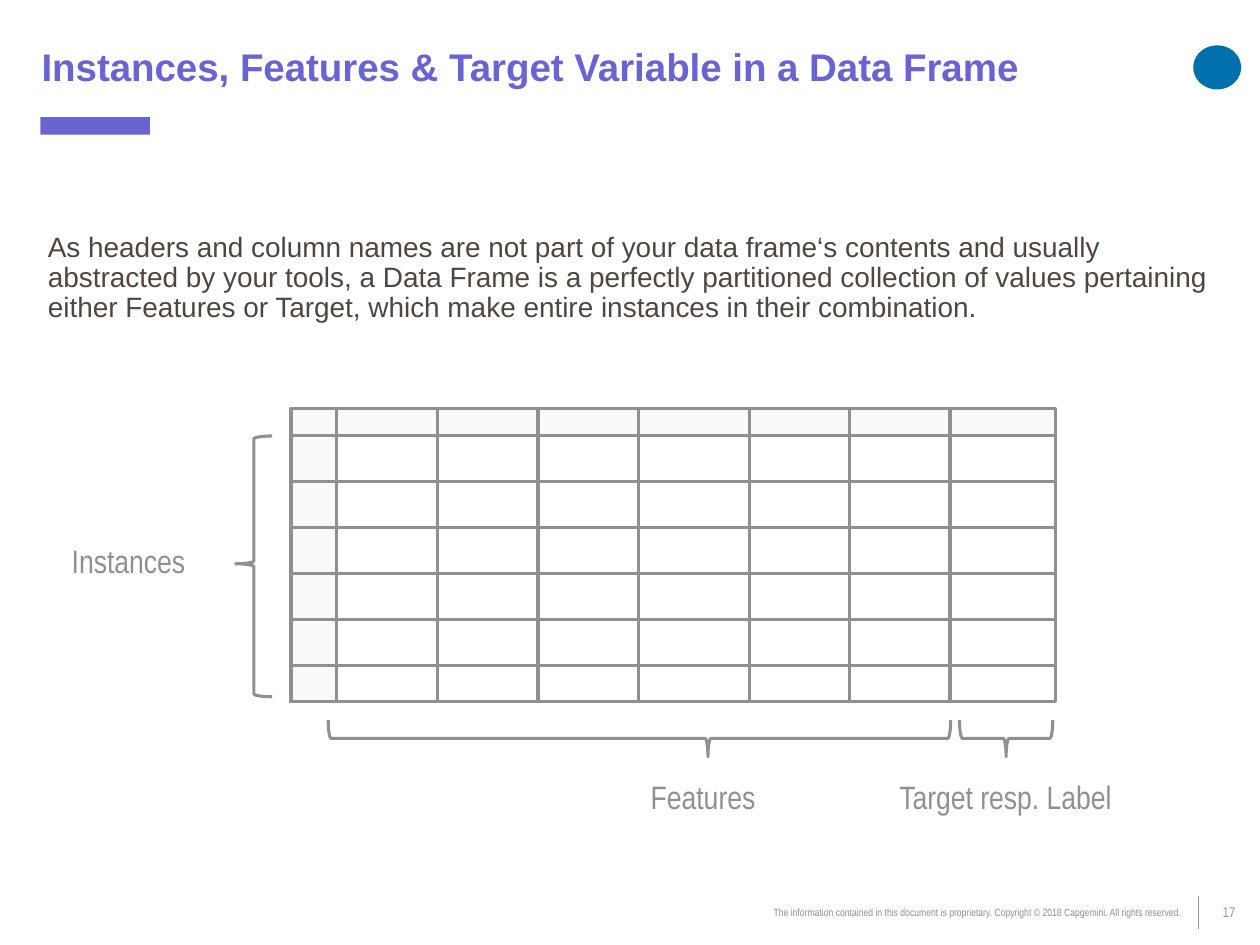
"""Build the slide on instances, features and target variable in a data frame."""
import pptx
import pptx.dml.color
import pptx.enum.shapes
import pptx.enum.text
import pptx.oxml.ns
import pptx.util
from lxml import etree

Inches = pptx.util.Inches
Pt = pptx.util.Pt
SHAPE = pptx.enum.shapes.MSO_SHAPE
ALIGN = pptx.enum.text.PP_ALIGN
ANCHOR = pptx.enum.text.MSO_ANCHOR
qn = pptx.oxml.ns.qn

COLORS = {
    name: pptx.dml.color.RGBColor.from_string(value)
    for name, value in {
        "accent": "6964D1",
        "body": "4E4641",
        "diagram": "909090",
        "page": "969696",
        "footer": "998C85",
        "emblem": "0070AD",
    }.items()
}


def write(shape, text, size, font, color, align=ALIGN.LEFT, spacing=0.9, bold=False):
    frame = shape.text_frame
    frame.word_wrap = True
    frame.auto_size = pptx.enum.text.MSO_AUTO_SIZE.NONE
    frame.text = text
    paragraph = frame.paragraphs[0]
    paragraph.alignment = align
    paragraph.line_spacing = spacing
    paragraph.space_before = Pt(0)
    run_font = paragraph.runs[0].font
    run_font.size = Pt(size)
    run_font.name = font
    run_font.bold = bold
    run_font.color.rgb = COLORS[color]


def add_line(x1, y1, x2, y2, color="diagram", width=1.75):
    line = slide.shapes.add_connector(
        pptx.enum.shapes.MSO_CONNECTOR.STRAIGHT,
        Inches(x1), Inches(y1), Inches(x2), Inches(y2))
    line.line.color.rgb = COLORS[color]
    line.line.width = Pt(width)
    etree.SubElement(line._element.spPr, qn("a:effectLst"))


deck = pptx.Presentation()
deck.slide_width, deck.slide_height = Inches(10), Inches(7.5)
slide = deck.slides.add_slide(deck.slide_layouts[1])

title = slide.shapes.title
title.left, title.top, title.width, title.height = Inches(0), Inches(0), Inches(10), Inches(1.1)
write(title, "Instances, Features & Target Variable in a Data Frame", 22, "Arial", "accent", bold=True)
title.text_frame.vertical_anchor = ANCHOR.MIDDLE
title.text_frame.margin_left, title.text_frame.margin_right = Inches(0.33), Inches(0.18)
title.text_frame.margin_top = title.text_frame.margin_bottom = Inches(0.04)

body = slide.placeholders[1]
body.left, body.top, body.width, body.height = Inches(0.28), Inches(1.8), Inches(9.45), Inches(1)
write(body, "As headers and column names are not part of your data frame‘s contents and usually "
      "abstracted by your tools, a Data Frame is a perfectly partitioned collection of values "
      "pertaining either Features or Target, which make entire instances in their combination.",
      16, "Arial", "body")
explanation = body.text_frame.paragraphs[0]
explanation.space_after = Pt(3.7)
explanation_format = explanation._p.get_or_add_pPr()
explanation_format.set("marL", "0")
explanation_format.set("indent", "0")
etree.SubElement(explanation_format, qn("a:buNone"))

for kind, left, top, width, height, color in [
    (SHAPE.OVAL, 9.47, 0.36, 0.38, 0.35, "emblem"),
    (SHAPE.RECTANGLE, 0.32, 0.93, 0.87, 0.14, "accent"),
]:
    ornament = slide.shapes.add_shape(kind, Inches(left), Inches(top), Inches(width), Inches(height))
    ornament.shadow.inherit = False
    ornament.fill.solid()
    ornament.fill.fore_color.rgb = COLORS[color]
    ornament.line.fill.background()

add_line(9.51, 7.11, 9.51, 7.37, "page", 0.75)
page_number = slide.shapes.add_textbox(Inches(9.51), Inches(7.11), Inches(0.49), Inches(0.27))
write(page_number, "17", 8, "Arial Narrow", "page", ALIGN.CENTER, 0.85)
page_number.text_frame.vertical_anchor = ANCHOR.MIDDLE
copyright_line = slide.shapes.add_textbox(Inches(4.49), Inches(7.16), Inches(4.98), Inches(0.19))
write(copyright_line, "The information contained in this document is proprietary. "
      "Copyright © 2018 Capgemini. All rights reserved.",
      6, "Arial Narrow", "footer", ALIGN.RIGHT, 0.85)

LEFT, TOP, RIGHT, BOTTOM = 2.31, 3.24, 8.38, 5.57
INDEX_RIGHT, HEADER_BOTTOM, LAST_ROW_TOP = 2.67, 3.46, 5.28
ROW_HEIGHT = (LAST_ROW_TOP - HEADER_BOTTOM) / 5

for left, top, right, bottom, tinted in [
    (LEFT, TOP, RIGHT, BOTTOM, False),
    (LEFT, TOP, INDEX_RIGHT, BOTTOM, True),
    (INDEX_RIGHT, TOP, RIGHT, HEADER_BOTTOM, True),
]:
    area = slide.shapes.add_shape(
        SHAPE.RECTANGLE, Inches(left), Inches(top), Inches(right - left), Inches(bottom - top))
    area.shadow.inherit = False
    area.line.color.rgb = COLORS["diagram"]
    area.line.width = Pt(1.75)
    if tinted:
        area.fill.solid()
        area.fill.fore_color.rgb = COLORS["diagram"]
        tint = area._element.spPr.find(qn("a:solidFill")).find(qn("a:srgbClr"))
        etree.SubElement(tint, qn("a:alpha"), val="5000")
    else:
        area.fill.background()

for row in range(6):
    y = HEADER_BOTTOM + row * ROW_HEIGHT
    add_line(RIGHT, y, LEFT, y)
for x in (3.47, 4.27, 5.07, 5.95, 6.74, 7.54):
    add_line(x, TOP, x, BOTTOM)

for left, top, length, rotation, tip in [
    (1.87, 3.46, 2.07, 180, 0.51),
    (4.93, 3.39, 4.94, 90, 0.39),
    (7.84, 5.49, 0.74, 90, 0.5),
]:
    brace = slide.shapes.add_shape(
        SHAPE.RIGHT_BRACE, Inches(left), Inches(top), Inches(0.29), Inches(length))
    brace.rotation = rotation
    brace.adjustments[0], brace.adjustments[1] = 0.08, tip
    brace.shadow.inherit = False
    brace.fill.background()
    brace.line.color.rgb = COLORS["diagram"]
    brace.line.width = Pt(1.75)

for left, top, text in [
    (0, 4.28, "Instances"),
    (4.56, 6.15, "Features"),
    (6.96, 6.15, "Target resp. Label"),
]:
    label = slide.shapes.add_textbox(Inches(left), Inches(top), Inches(2.04), Inches(0.38))
    write(label, text, 18.5, "Arial Narrow", "diagram", ALIGN.CENTER)

deck.save("out.pptx")
